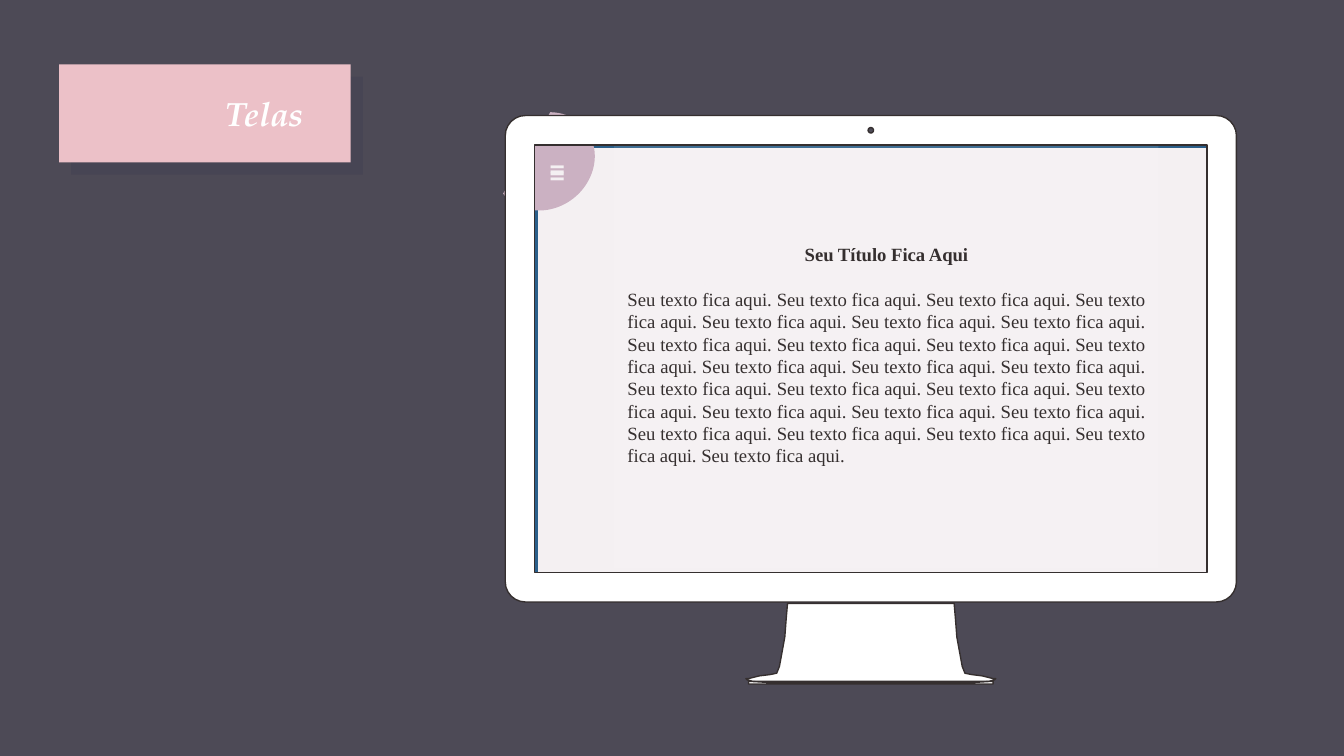
from math import cos, radians, sin

from lxml.etree import SubElement
from pptx import Presentation
from pptx.dml.color import RGBColor
from pptx.enum.shapes import MSO_SHAPE as Geo
from pptx.enum.text import MSO_ANCHOR as Anchor, MSO_AUTO_SIZE as Fit, PP_ALIGN as Align
from pptx.oxml.ns import qn
from pptx.util import Inches, Pt

HUES = {
    "back": "4D4A56", "shade": "1B1B46", "pink": "ECC1C8", "pale": "F4F0F2",
    "blue": "2B5F8A", "mauve": "CBB1C2", "white": "FFFFFF", "ink": "352F2F",
}
MID = 6.48
STAND = [(0.62, 4.49), (0.63, 4.61), (0.64, 4.74), (0.66, 4.85), (0.68, 4.96),
         (0.7, 5.01), (0.75, 5.02), (0.83, 5.03), (0.91, 5.05), (0.93, 5.05),
         (0.92, 5.06), (0.88, 5.07), (0.58, 5.07)]
BASE = [(0.35, 5.08), (0.74, 5.08), (0.91, 5.07), (0.91, 5.09), (0.35, 5.09)]


def hue(name):
    """Return the named colour."""
    return RGBColor.from_string(HUES[name])


def paint(shape, fill, line=None, width=0, alpha=None):
    """Set fill, outline and opacity, without a shadow."""
    shape.shadow.inherit = False
    shape.fill.solid()
    shape.fill.fore_color.rgb = hue(fill)
    if alpha:
        tint = shape._element.spPr.find(qn("a:solidFill"))[0]
        SubElement(tint, qn("a:alpha"), val=str(alpha * 1000))
    if line:
        shape.line.color.rgb = hue(line)
        shape.line.width = Pt(width)
    else:
        shape.line.fill.background()


def block(slide, geo, box, fill, **look):
    """Add a painted preset shape."""
    shape = slide.shapes.add_shape(geo, *map(Inches, box))
    paint(shape, fill, **look)
    return shape


def write(para, text, color, **form):
    """Add a formatted run to a paragraph."""
    run = para.add_run()
    run.text = text
    run.font.color.rgb = hue(color)
    for key, val in form.items():
        setattr(run.font, key, val)


def pad(frame, **form):
    """Set frame values and even insets."""
    for side in ("left", "top", "right", "bottom"):
        setattr(frame, "margin_" + side, Inches(0.1))
    for key, val in form.items():
        setattr(frame, key, val)


def arc(x, y, rad, start, sweep, step):
    """Return points along a circular arc."""
    turns = [radians(deg) for deg in range(start, start + sweep + 1, step)]
    return [(x + rad * cos(t), y + rad * sin(t)) for t in turns]


def curve(left, top, right, bottom, rad):
    """Return the outline of a rounded rectangle."""
    spots = [(right - rad, bottom - rad), (left + rad, bottom - rad),
             (left + rad, top + rad), (right - rad, top + rad)]
    return [pt for i, (x, y) in enumerate(spots)
            for pt in arc(x, y, rad, 90 * i, 90, 15)]


def mirror(half):
    """Complete a half outline across the middle axis."""
    return ([(MID - x, y) for x, y in half]
            + [(MID + x, y) for x, y in reversed(half)])


def draw_frame(slide):
    """Draw the monitor with its screen and camera openings."""
    rings = [
        arc(MID, 0.97, 0.02, 0, 345, 15),
        [(3.98, 1.08), (8.98, 1.08), (8.98, 4.26), (3.98, 4.26)],
        curve(3.76, 0.86, 9.2, 4.48, 0.15),
        mirror(STAND),
        mirror(BASE),
    ]
    rings = [[(Inches(x), Inches(y)) for x, y in ring] for ring in rings]
    pen = slide.shapes.build_freeform(*rings[0][0], scale=1.0)
    for i, ring in enumerate(rings):
        if i:
            pen.move_to(*ring[0])
        pen.add_line_segments(ring[1:], close=True)
    paint(pen.convert_to_shape(), "white", line="ink", width=0.75)


def set_title(slide):
    """Place and format the title."""
    title = slide.shapes.title
    slide.shapes._spTree.append(title._element)
    spots = zip(("left", "top", "width", "height"), (0.47, 0.59, 1.89, 1.77))
    for key, val in spots:
        setattr(title, key, Inches(val))
    pad(title.text_frame, word_wrap=True, vertical_anchor=Anchor.TOP, auto_size=Fit.NONE)
    para = title.text_frame.paragraphs[0]
    para.alignment = Align.RIGHT
    write(para, "Telas", "white", size=Pt(18), name="TeX Gyre Pagella",
          bold=True, italic=True)


def add_copy(slide):
    """Add the heading and body text on the screen."""
    shape = block(slide, Geo.RECTANGLE, (4.57, 1.05, 4.05, 3.18), "white", alpha=10)
    frame = shape.text_frame
    pad(frame, word_wrap=True, vertical_anchor=Anchor.MIDDLE)
    head, body = frame.paragraphs[0], frame.add_paragraph()
    body.space_before = Pt(12)
    rows = [(head, "Seu Título Fica Aqui", Align.CENTER, True),
            (body, " ".join(["Seu texto fica aqui."] * 26), Align.JUSTIFY, False)]
    for para, text, side, bold in rows:
        para.alignment = side
        para.line_spacing = Pt(12)
        write(para, text, "ink", size=Pt(10), name="Times New Roman", bold=bold)


def add_bars(slide, top, height):
    """Add one part of the menu sign."""
    box = slide.shapes.add_textbox(*map(Inches, (3.99, top, 0.32, height)))
    pad(box.text_frame, word_wrap=False, auto_size=Fit.SHAPE_TO_FIT_TEXT,
        margin_top=Inches(0.05), margin_bottom=Inches(0.05))
    write(box.text_frame.paragraphs[0], "=", "pale", size=Pt(14), name="Arial", bold=True)


def main():
    """Build the slide and save it."""
    deck = Presentation()
    deck.slide_width = Inches(10)
    deck.slide_height = deck.slide_width * 9 // 16
    slide = deck.slides.add_slide(deck.slide_layouts[5])
    slide.background.fill.solid()
    slide.background.fill.fore_color.rgb = hue("back")
    block(slide, Geo.RECTANGLE, (0.53, 0.57, 2.17, 0.73), "shade", alpha=10)
    block(slide, Geo.RECTANGLE, (0.44, 0.48, 2.17, 0.73), "pink")
    block(slide, Geo.RECTANGLE, (3.99, 1.09, 5.03, 3.18), "pale", line="blue", width=2)
    tab = block(slide, Geo.CHORD, (3.7, 0.81, 0.7, 0.78), "mauve")
    tab.rotation = 231.9
    set_title(slide)
    add_copy(slide)
    draw_frame(slide)
    for top, height in ((1.09, 0.34), (1.13, 0.25)):
        add_bars(slide, top, height)
    deck.save("out.pptx")


main()
